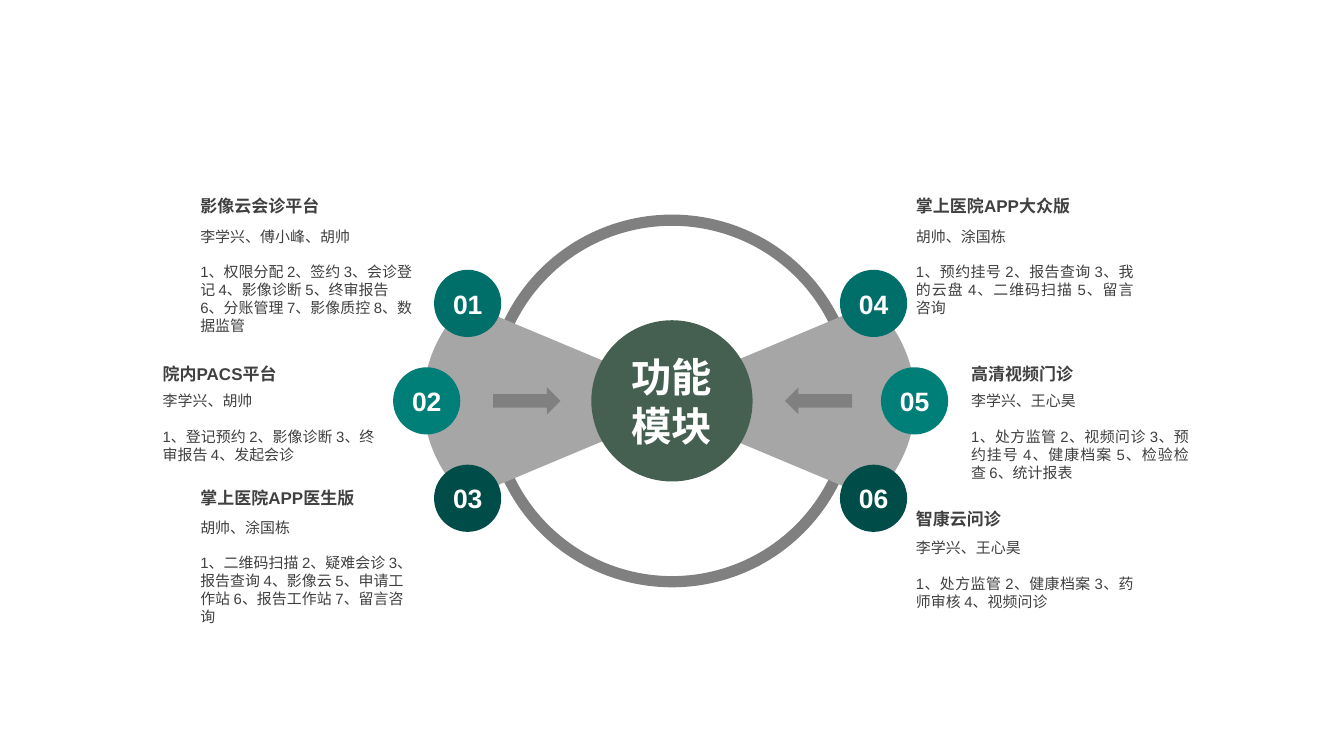
from math import asin, cos, sin

from pptx import Presentation
from pptx.dml.color import RGBColor
from pptx.enum.shapes import MSO_SHAPE
from pptx.enum.text import MSO_ANCHOR, PP_ALIGN
from pptx.util import Inches, Pt

THEME = {
    "font": "Arial", "text": "404040", "white": "FFFFFF",
    "ring": "808080", "fan": "A6A6A6", "hub": "455F51",
    "badges": ["006F6A", "007E78", "004C48"],
    "hub_size": 21.6, "badge_size": 14.2, "title_size": 9.1, "body_size": 8,
    "body_gap": 9.6, "ring_width": 6,
}

deck = Presentation()
deck.slide_width = Inches(10)
deck.slide_height = deck.slide_width * 9 // 16
page = deck.slides.add_slide(deck.slide_layouts[6])

# The grid has 100 columns; rows are as tall as columns are wide
CELL = deck.slide_width // 100
CENTER_X, CENTER_Y = 50, 29.83


def add_text(area, lines, size, color, bold=False, align=PP_ALIGN.LEFT, gap=0,
             anchor=MSO_ANCHOR.TOP, wrap=True):
    box = page.shapes.add_textbox(*(round(n * CELL) for n in area))
    frame = box.text_frame
    settings = {"word_wrap": wrap, "vertical_anchor": anchor, "margin_left": 0,
                "margin_right": 0, "margin_top": 0, "margin_bottom": 0}
    for name, value in settings.items():
        setattr(frame, name, value)
    for index, line in enumerate(lines):
        para = frame.paragraphs[0] if index == 0 else frame.add_paragraph()
        para.alignment = align
        para.space_before = Pt(gap if index else 0)
        span = para.add_run()
        span.text = line
        font = {"name": THEME["font"], "size": Pt(size), "bold": bold}
        for name, value in font.items():
            setattr(span.font, name, value)
        span.font.color.rgb = RGBColor.from_string(color)
    return box


def add_centered(kind, x, y, width, height, fill):
    shape = page.shapes.add_shape(
        kind, *(round(n * CELL) for n in (x - width / 2, y - height / 2, width, height)))
    shape.shadow.inherit = False
    shape.line.fill.background()
    if fill:
        shape.fill.solid()
        shape.fill.fore_color.rgb = RGBColor.from_string(fill)
    else:
        shape.fill.background()
    return shape


# Ring
ring = add_centered(MSO_SHAPE.OVAL, CENTER_X, CENTER_Y, 26.9, 26.9, None)
ring.line.color.rgb = RGBColor.from_string(THEME["ring"])
ring.line.width = Pt(THEME["ring_width"])

# Each side: a fan from near the center, an arrow and three numbered badges
FAN_X, BADGE_X, ARROW_X = 49.8, 49.9, 50.05
FAN_TIP, FAN_EDGE, FAN_REACH, FAN_HALF = -2.2, 15.1, 18.3, 7.25
depth = FAN_REACH - FAN_EDGE
radius = (depth ** 2 + FAN_HALF ** 2) / (2 * depth)
sweep = asin(FAN_HALF / radius)
STEPS = 40

for side, first in ((-1, 1), (1, 4)):
    arc = []
    for step in range(STEPS + 1):
        angle = sweep * (2 * step / STEPS - 1)
        reach = FAN_REACH - radius + radius * cos(angle)
        arc.append((round((FAN_X + side * reach) * CELL),
                    round((CENTER_Y + radius * sin(angle)) * CELL)))
    builder = page.shapes.build_freeform(
        round((FAN_X + side * FAN_TIP) * CELL), round(CENTER_Y * CELL))
    builder.add_line_segments(arc, close=True)
    fan = builder.convert_to_shape()
    fan.shadow.inherit = False
    fan.fill.solid()
    fan.fill.fore_color.rgb = RGBColor.from_string(THEME["fan"])
    fan.line.fill.background()

    arrow = add_centered(MSO_SHAPE.RIGHT_ARROW, ARROW_X + side * 10.85, CENTER_Y,
                         5, 2, THEME["ring"])
    arrow.rotation = 180 if side > 0 else 0

    for row, color in enumerate(THEME["badges"]):
        x = BADGE_X + side * (18.15 if row == 1 else 15.1)
        y = CENTER_Y + (row - 1) * FAN_HALF
        badge = add_centered(MSO_SHAPE.OVAL, x, y, 5, 5, color)
        label = add_text((x - 2.1, y - 1.7, 4.2, 3.4), [f"{first + row:02d}"],
                         THEME["badge_size"], THEME["white"], bold=True,
                         align=PP_ALIGN.CENTER, anchor=MSO_ANCHOR.MIDDLE, wrap=False)
        page.shapes.add_group_shape([badge, label])

# Hub
hub = add_centered(MSO_SHAPE.OVAL, CENTER_X, CENTER_Y, 12, 12, THEME["hub"])
name_box = add_text((CENTER_X - 4, CENTER_Y - 4.15, 8, 8.3), ["功能模块"],
                    THEME["hub_size"], THEME["white"], bold=True,
                    align=PP_ALIGN.CENTER, anchor=MSO_ANCHOR.MIDDLE)
page.shapes.add_group_shape([hub, name_box])

# Modules: column, title row, body row, body height, alignment, title, people, features
LEFT, JUSTIFY = PP_ALIGN.LEFT, PP_ALIGN.JUSTIFY
modules = [
    (14.9, 14.55, 16.9, 8.1, LEFT, "影像云会诊平台", "李学兴、傅小峰、胡帅",
     "1、权限分配 2、签约 3、会诊登记 4、影像诊断 5、终审报告 6、分账管理 7、影像质控 8、数据监管"),
    (12.1, 27.05, 29.15, 5.4, LEFT, "院内PACS平台", "李学兴、胡帅",
     "1、登记预约 2、影像诊断 3、终审报告 4、发起会诊"),
    (14.9, 36.3, 38.55, 8.1, LEFT, "掌上医院APP医生版", "胡帅、涂国栋",
     "1、二维码扫描 2、疑难会诊 3、报告查询 4、影像云 5、申请工作站 6、报告工作站 7、留言咨询"),
    (68.15, 14.55, 16.9, 6.7, JUSTIFY, "掌上医院APP大众版", "胡帅、涂国栋",
     "1、预约挂号 2、报告查询 3、我的云盘 4、二维码扫描 5、留言咨询"),
    (72.25, 27.05, 29.15, 6.7, JUSTIFY, "高清视频门诊", "李学兴、王心昊",
     "1、处方监管 2、视频问诊 3、预约挂号 4、健康档案 5、检验检查 6、统计报表"),
    (68.15, 37.85, 40.1, 5.4, JUSTIFY, "智康云问诊", "李学兴、王心昊",
     "1、处方监管 2、健康档案 3、药师审核 4、视频问诊"),
]
for column, title_row, body_row, height, align, title, people, features in modules:
    body_width = 15.9 if align == LEFT else 16.2
    add_text((column, title_row, 15.9, 1.5), [title], THEME["title_size"],
             THEME["text"], bold=True)
    add_text((column, body_row, body_width, height), [people, features],
             THEME["body_size"], THEME["text"], align=align, gap=THEME["body_gap"])

deck.save("out.pptx")
